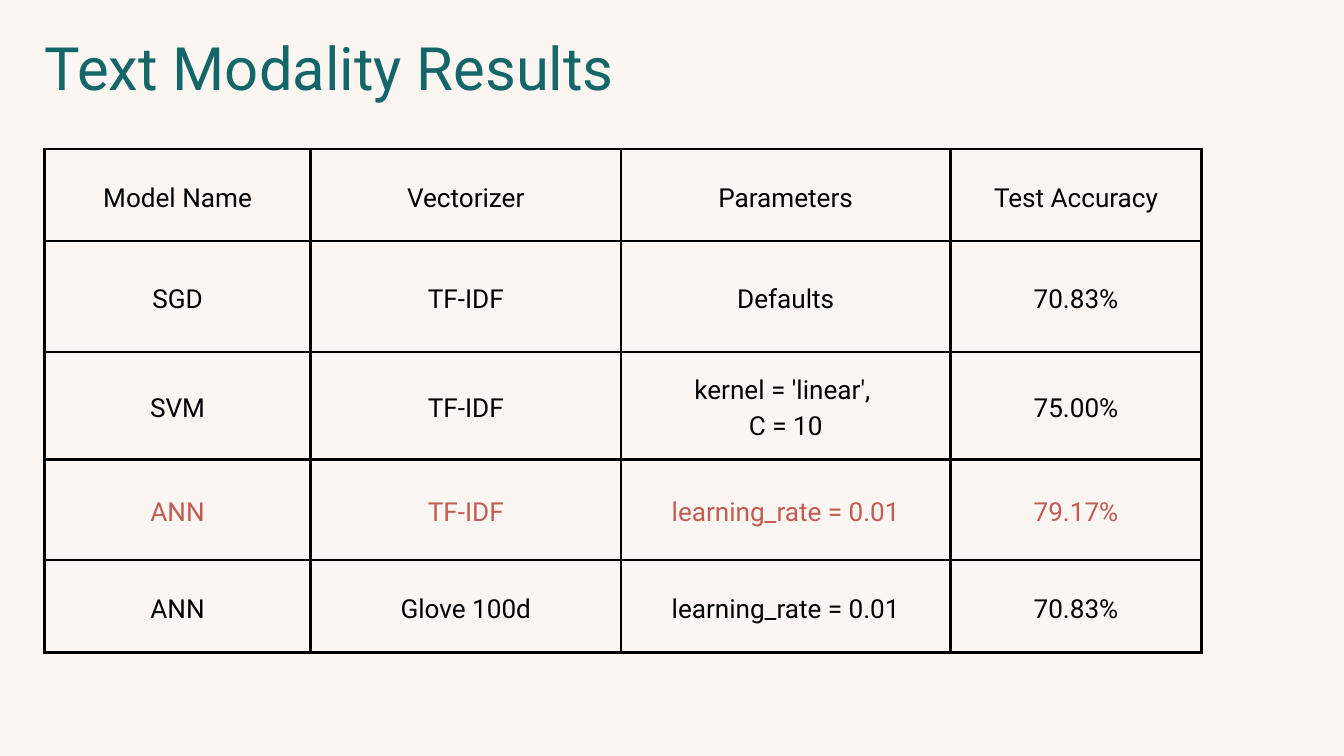
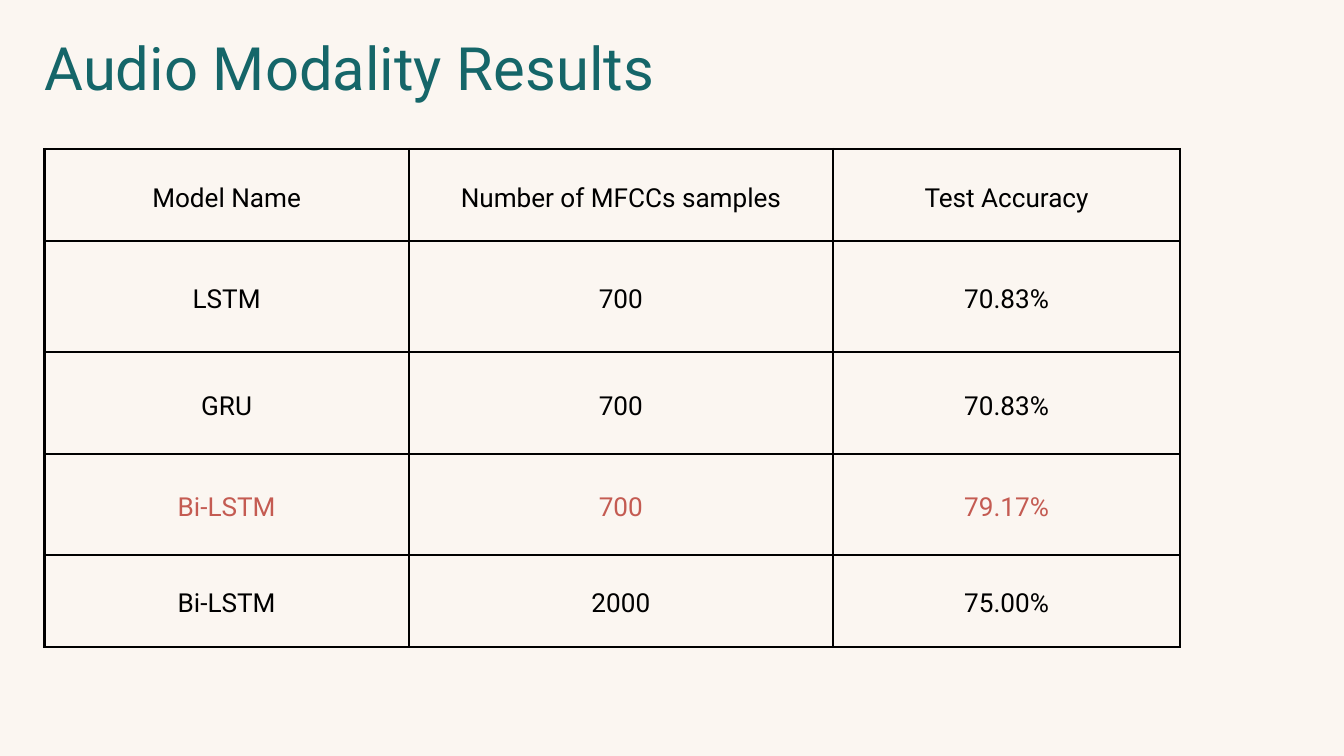
from dataclasses import dataclass

from lxml.etree import SubElement
from pptx import Presentation
from pptx.dml.color import RGBColor
from pptx.enum.text import MSO_ANCHOR, MSO_AUTO_SIZE, PP_ALIGN
from pptx.oxml.ns import qn
from pptx.presentation import Presentation as Deck
from pptx.table import _Cell as Cell
from pptx.text.text import TextFrame
from pptx.util import Cm, Pt

COLOURS = {
    "background": "FBF6F1",
    "title": "156669",
    "text": "000000",
    "best": "C45B52",
    "border": "000000",
}
FONT = "Roboto"
LINE_SPACING = 1.4
LEFT = Cm(1.68)
TABLE_TOP = Cm(5.64)
CELL_INSET = Cm(0.53)
BORDER_WIDTH = Pt(3)
TITLE_ONLY = 5


@dataclass(frozen=True)
class Results:
    title: str
    column_widths: list[float]
    row_heights: list[float]
    rows: list[list[str]]
    best_row: int


RESULTS = [
    Results(
        title="Text Modality Results",
        column_widths=[10.06, 11.73, 12.45, 9.5],
        row_heights=[3.48, 4.19, 4.06, 3.81, 3.48],
        rows=[
            ["Model Name", "Vectorizer", "Parameters", "Test Accuracy"],
            ["SGD", "TF-IDF", "Defaults", "70.83%"],
            ["SVM", "TF-IDF", "kernel = 'linear', \nC = 10", "75.00%"],
            ["ANN", "TF-IDF", "learning_rate = 0.01", "79.17%"],
            ["ANN", "Glove 100d", "learning_rate = 0.01", "70.83%"],
        ],
        best_row=3,
    ),
    Results(
        title="Audio Modality Results",
        column_widths=[13.77, 16.03, 13.13],
        row_heights=[3.48, 4.19, 3.86, 3.81, 3.48],
        rows=[
            ["Model Name", "Number of MFCCs samples", "Test Accuracy"],
            ["LSTM", "700", "70.83%"],
            ["GRU", "700", "70.83%"],
            ["Bi-LSTM", "700", "79.17%"],
            ["Bi-LSTM", "2000", "75.00%"],
        ],
        best_row=3,
    ),
]


def write(frame: TextFrame, text: str, *, size: float, colour: str,
          align: PP_ALIGN = PP_ALIGN.LEFT) -> None:
    frame.text = text
    for paragraph in frame.paragraphs:
        paragraph.alignment = align
        paragraph.line_spacing = Pt(size * LINE_SPACING)
        paragraph.space_before = Pt(0)
        for run in paragraph.runs:
            run.font.name = FONT
            run.font.size = Pt(size)
            run.font.color.rgb = RGBColor.from_string(COLOURS[colour])


def add_borders(cell: Cell) -> None:
    """Draw all four sides; the schema wants them ahead of the cell fill."""
    properties = cell._tc.get_or_add_tcPr()
    for position, side in enumerate(("lnL", "lnR", "lnT", "lnB")):
        line = SubElement(properties, qn(f"a:{side}"), w=str(BORDER_WIDTH))
        fill = SubElement(line, qn("a:solidFill"))
        SubElement(fill, qn("a:srgbClr"), val=COLOURS["border"])
        properties.insert(position, line)


def add_results_table(slide, results: Results) -> None:
    widths = [Cm(width) for width in results.column_widths]
    heights = [Cm(height) for height in results.row_heights]
    table = slide.shapes.add_table(
        len(heights), len(widths), LEFT, TABLE_TOP, sum(widths), sum(heights)
    ).table
    table.first_row = False
    table.horz_banding = False
    for column, width in zip(table.columns, widths):
        column.width = width
    for row, height in zip(table.rows, heights):
        row.height = height

    for row_index, values in enumerate(results.rows):
        colour = "best" if row_index == results.best_row else "text"
        for column_index, value in enumerate(values):
            cell = table.cell(row_index, column_index)
            cell.fill.background()
            cell.vertical_anchor = MSO_ANCHOR.MIDDLE
            cell.margin_left = cell.margin_right = CELL_INSET
            cell.margin_top = cell.margin_bottom = CELL_INSET
            write(cell.text_frame, value, size=28, colour=colour,
                  align=PP_ALIGN.CENTER)
            add_borders(cell)


def add_results_slide(deck: Deck, results: Results) -> None:
    slide = deck.slides.add_slide(deck.slide_layouts[TITLE_ONLY])
    title = slide.shapes.title
    title.left, title.top = LEFT, Cm(0.71)
    title.width, title.height = Cm(40.69), Cm(3.07)
    frame = title.text_frame
    frame.margin_left = frame.margin_right = 0
    frame.margin_top = frame.margin_bottom = 0
    frame.vertical_anchor = MSO_ANCHOR.TOP
    frame.word_wrap = True
    frame.auto_size = MSO_AUTO_SIZE.SHAPE_TO_FIT_TEXT
    write(frame, results.title, size=64, colour="title")
    add_results_table(slide, results)


def main() -> None:
    deck = Presentation()
    deck.slide_width, deck.slide_height = Cm(50.8), Cm(28.58)
    background = deck.slide_master.background.fill
    background.solid()
    background.fore_color.rgb = RGBColor.from_string(COLOURS["background"])
    for results in RESULTS:
        add_results_slide(deck, results)
    deck.save("out.pptx")


if __name__ == "__main__":
    main()
